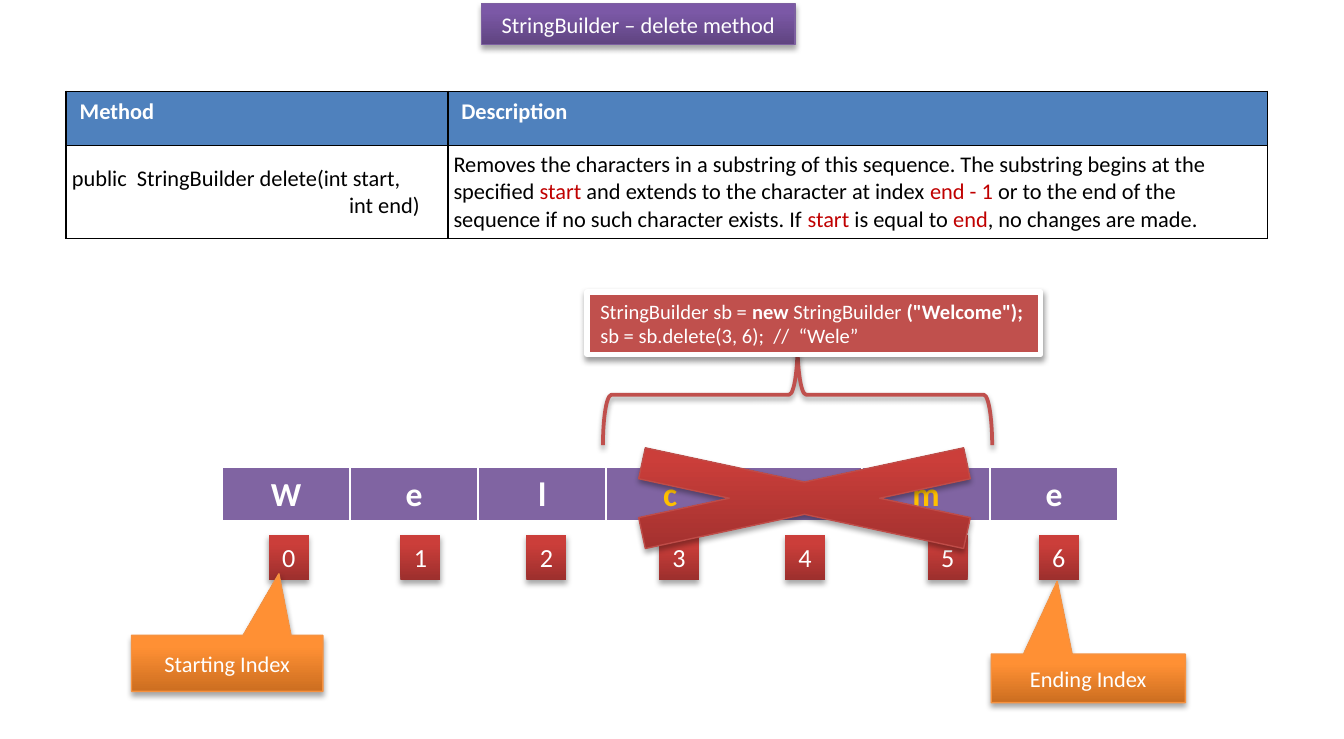
from lxml import etree
from pptx import Presentation
from pptx.dml.color import RGBColor
from pptx.enum import shapes, text
from pptx.oxml import ns
from pptx.util import Pt

COLORS = {
    "white": "FFFFFF", "black": "000000", "keyword": "C00000",
    "header": "4F81BD", "letter": "8064A2", "removed": "FFC000",
    "code": "C0504D", "cross_edge": "BF4C48",
    "title_edge": "7D60A0", "callout_edge": "F69240",
}
GRADIENTS = {
    "purple": ("5F4480", "7B58A6"),
    "red": ("9C2F2D", "CB3E3A"),
    "orange": ("CC6E20", "FF9034"),
}
FONT = "Calibri"


def color(name):
    return RGBColor.from_string(COLORS[name])


def points(box):
    return [Pt(value) for value in box]


def add_runs(para, runs, size, align=text.PP_ALIGN.LEFT):
    para.alignment = align
    for words, shade, bold in runs:
        span = para.add_run()
        span.text = words
        span.font.name, span.font.size, span.font.bold = FONT, Pt(size), bold
        span.font.color.rgb = color(shade)


def fill_gradient(shape, name):
    shape.fill.gradient()
    shape.fill.gradient_angle = 90
    for stop, position, shade in zip(shape.fill.gradient_stops, (0, 0.8), GRADIENTS[name]):
        stop.position = position
        stop.color.rgb = RGBColor.from_string(shade)


def set_line(shape, name, width):
    shape.line.color.rgb = color(name)
    shape.line.width = Pt(width)


def add_shadow(shape, opacity=35):
    properties = shape._element.spPr
    if properties.find(ns.qn("a:effectLst")) is None:
        etree.SubElement(properties, ns.qn("a:effectLst"))
    effects = properties.find(ns.qn("a:effectLst"))
    shadow = etree.SubElement(effects, ns.qn("a:outerShdw"), blurRad=str(Pt(3.1)),
                              dist=str(Pt(1.8)), dir="5400000", rotWithShape="0")
    shade = etree.SubElement(shadow, ns.qn("a:srgbClr"), val=COLORS["black"])
    etree.SubElement(shade, ns.qn("a:alpha"), val=str(opacity * 1000))


def add_figure(page, kind, box, opacity=35):
    shape = page.shapes.add_shape(kind, *points(box))
    shape.shadow.inherit = False
    add_shadow(shape, opacity)
    return shape


def set_borders(cell, widths, name):
    properties = cell._tc.get_or_add_tcPr()
    for index, (side, width) in enumerate(zip(("lnL", "lnR", "lnT", "lnB"), widths)):
        line = etree.Element(ns.qn("a:" + side), w=str(Pt(width)))
        fill = etree.SubElement(line, ns.qn("a:solidFill"))
        etree.SubElement(fill, ns.qn("a:srgbClr"), val=COLORS[name])
        properties.insert(index, line)


def add_title(page, box):
    title = page.shapes.title
    title.left, title.top, title.width, title.height = points(box)
    fill_gradient(title, "purple")
    set_line(title, "title_edge", 0.75)
    add_shadow(title)
    title.text_frame.vertical_anchor = text.MSO_ANCHOR.MIDDLE
    add_runs(title.text_frame.paragraphs[0],
             [("StringBuilder – delete method", "white", False)], 12, text.PP_ALIGN.CENTER)


def add_method_table(page, box):
    table = page.shapes.add_table(2, 2, *points(box)).table
    for column, width in zip(table.columns, (204.5, box[2] - 204.5)):
        column.width = Pt(width)
    for row, height in zip(table.rows, (29, box[3] - 29)):
        row.height = Pt(height)

    signature = [[("public  StringBuilder delete(int start,", "black", False)],
                 [("int end)", "black", False)]]
    pieces = ("Removes the characters in a substring of this sequence. "
              "The substring begins at the specified ", "start",
              " and extends to the character at index ", "end - 1",
              " or to the end of the sequence if no such character exists. If ", "start",
              " is equal to ", "end", ", no changes are made.")
    description = [(words, ("black", "keyword")[index % 2], False)
                   for index, words in enumerate(pieces)]
    contents = [[[("Method", "white", True)]], [[("Description", "white", True)]],
                signature, [description]]

    for index, (cell, lines) in enumerate(zip(table.iter_cells(), contents)):
        is_header = index < 2
        cell.fill.solid()
        cell.fill.fore_color.rgb = color("header" if is_header else "white")
        set_borders(cell, (1, 1, 1, 1), "black")
        if not is_header:
            cell.vertical_anchor = text.MSO_ANCHOR.MIDDLE
            cell.margin_left = cell.margin_right = Pt(3)
            cell.margin_top = cell.margin_bottom = Pt(3)
        frame = cell.text_frame
        for number, runs in enumerate(lines):
            para = frame.add_paragraph() if number else frame.paragraphs[0]
            add_runs(para, runs, 12)
            if number:
                para._p.get_or_add_pPr().set("marL", str(Pt(148.5)))


def add_letters(page, box, word, removed):
    table = page.shapes.add_table(1, len(word), *points(box)).table
    for index, (letter, cell) in enumerate(zip(word, table.iter_cells())):
        table.columns[index].width = Pt(box[2] / len(word))
        cell.fill.solid()
        cell.fill.fore_color.rgb = color("letter")
        set_borders(cell, (1, 1, 1, 3), "white")
        shade = "removed" if index in removed else "white"
        add_runs(cell.text_frame.paragraphs[0], [(letter, shade, True)], 18,
                 text.PP_ALIGN.CENTER)


def add_indexes(page, box, offsets):
    left, top, width, height = box
    for index, offset in enumerate(offsets):
        tile = add_figure(page, shapes.MSO_SHAPE.RECTANGLE, (left + offset, top, width, height))
        fill_gradient(tile, "red")
        tile.line.fill.background()
        tile.text_frame.word_wrap = False
        add_runs(tile.text_frame.paragraphs[0], [(str(index), "white", False)], 14,
                 text.PP_ALIGN.CENTER)


def add_callout(page, box, label, tip):
    callout = add_figure(page, shapes.MSO_SHAPE.RECTANGULAR_CALLOUT, box)
    callout.adjustments[0], callout.adjustments[1] = tip
    fill_gradient(callout, "orange")
    set_line(callout, "callout_edge", 0.75)
    add_runs(callout.text_frame.paragraphs[0], [(label, "white", False)], 12,
             text.PP_ALIGN.CENTER)


def add_brace(page, box):
    left, top, width, height = box
    upright = (left + (width - height) / 2, top + (height - width) / 2, height, width)
    brace = add_figure(page, shapes.MSO_SHAPE.LEFT_BRACE, upright, 38)
    brace.rotation = 90
    brace.fill.background()
    set_line(brace, "code", 2)


def add_code(page, box):
    panel = add_figure(page, shapes.MSO_SHAPE.RECTANGLE, box, 38)
    panel.fill.solid()
    panel.fill.fore_color.rgb = color("code")
    set_line(panel, "white", 3)
    frame = panel.text_frame
    frame.word_wrap = False
    add_runs(frame.paragraphs[0], [("StringBuilder sb = ", "white", False),
                                   ("new ", "white", True),
                                   ("StringBuilder ", "white", False),
                                   ('("Welcome");', "white", True)], 11)
    add_runs(frame.add_paragraph(),
             [("sb = sb.delete(3, 6);  //  “Wele”", "white", False)], 11)


def add_cross(page, box):
    cross = add_figure(page, shapes.MSO_SHAPE.MATH_MULTIPLY, box)
    fill_gradient(cross, "red")
    set_line(cross, "cross_edge", 0.75)


def main():
    deck = Presentation()
    deck.slide_width, deck.slide_height = Pt(720), Pt(396)
    page = deck.slides.add_slide(deck.slide_layouts[5])
    add_title(page, (258, 2, 168, 22))
    add_method_table(page, (35.5, 49, 643.5, 78))
    add_letters(page, (119, 250.5, 480, 29.5), "Welcome", range(3, 6))
    add_indexes(page, (144, 286.5, 21.5, 24.5), (0, 70.5, 138, 209, 276.5, 353, 412.5))
    add_callout(page, (70.5, 340.5, 102.5, 30), "Starting Index", (0.27, -1.6))
    add_callout(page, (531, 350.5, 104, 26), "Ending Index", (-0.16, -2))
    add_brace(page, (323, 184.5, 208.5, 54))
    add_code(page, (314.5, 156.5, 243, 33.5))
    add_cross(page, (263.5, 231, 335, 72))
    deck.save("out.pptx")


if __name__ == "__main__":
    main()
